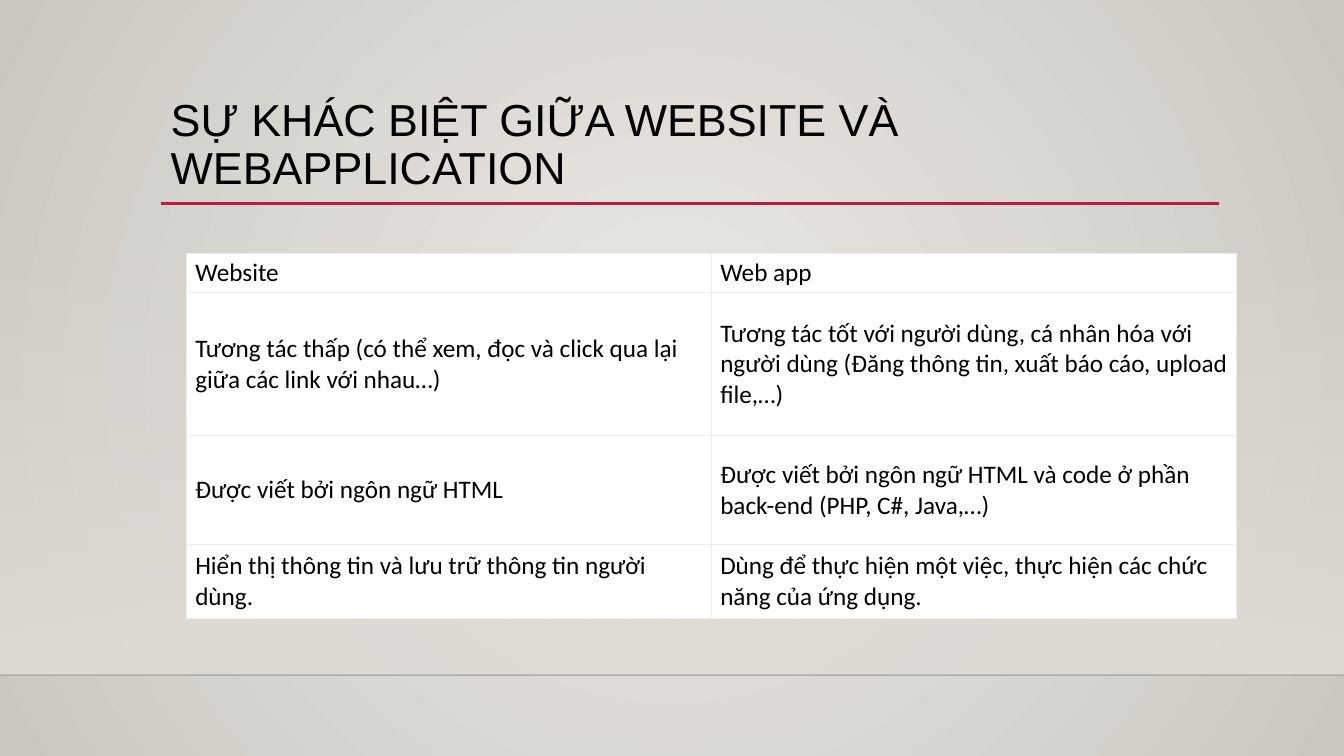
from lxml import etree
from pptx import Presentation
from pptx import util as u
from pptx.dml.color import RGBColor
from pptx.enum import shapes, text
from pptx.oxml.ns import qn

SLIDE_W, SLIDE_H = 1280, 720
TITLE = "SỰ KHÁC BIỆT GIỮA WEBSITE VÀ WEBAPPLICATION"
ROWS = [
    (38, "Website", "Web app"),
    (136, "Tương tác thấp (có thể xem, đọc và click qua lại giữa các link với nhau…)",
     "Tương tác tốt với người dùng, cá nhân hóa với người dùng "
     "(Đăng thông tin, xuất báo cáo, upload file,…)"),
    (104, "Được viết bởi ngôn ngữ HTML",
     "Được viết bởi ngôn ngữ HTML và code ở phần back-end (PHP, C#, Java,…)"),
    (70, "Hiển thị thông tin và lưu trữ thông tin người dùng.",
     "Dùng để thực hiện một việc, thực hiện các chức năng của ứng dụng."),
]


def px(n):
    return u.Emu(n * 9525)


def rgb(value):
    return RGBColor.from_string(value)


def set_gradient(fill, start, end):
    fill.gradient()
    for stop, color in zip(fill.gradient_stops, (start, end)):
        stop.color.rgb = rgb(color)


def set_alpha(color_element, percent):
    etree.SubElement(color_element, qn("a:alpha"), val=str(percent * 1000))


def style_font(font, name, size):
    font.name = name
    font.size = u.Pt(size)
    font.color.rgb = rgb("000000")


def add_line(slide, x, y, w, color, weight):
    line = slide.shapes.add_connector(
        shapes.MSO_CONNECTOR.STRAIGHT, px(x), px(y), px(x + w), px(y))
    line.line.color.rgb = rgb(color)
    line.line.width = u.Pt(weight)
    etree.SubElement(line._element.spPr, qn("a:effectLst"))
    return line


def add_backdrop(slide, w, h):
    set_gradient(slide.background.fill, "ECEAE7", "CAC7C1")
    grad = next(slide._element.iter(qn("a:gradFill")))
    grad.remove(grad.find(qn("a:lin")))
    radial = etree.SubElement(grad, qn("a:path"), path="circle")
    etree.SubElement(radial, qn("a:fillToRect"), {side: "50000" for side in "ltrb"})

    top, floor = 212, h - 77
    sp = slide.shapes.add_shape(
        shapes.MSO_SHAPE.RECTANGLE, 0, px(top), px(w), px(floor - top))
    sp.shadow.inherit = False
    sp.line.fill.background()
    set_gradient(sp.fill, "DFDBD5", "DFDBD5")
    sp.fill.gradient_angle = 270
    set_alpha(next(sp._element.iter(qn("a:srgbClr"))), 0)

    floor_line = add_line(slide, 0, floor, w, "000001", 1)
    set_alpha(next(floor_line._element.iter(qn("a:srgbClr"))), 20)


def add_title(slide, x, y, w, h):
    title = slide.shapes.title
    title.left, title.top, title.width, title.height = px(x), px(y), px(w), px(h)
    tf = title.text_frame
    tf.text = TITLE
    tf.word_wrap = True
    tf.auto_size = text.MSO_AUTO_SIZE.NONE
    tf.vertical_anchor = text.MSO_ANCHOR.MIDDLE
    p = tf.paragraphs[0]
    p.alignment = text.PP_ALIGN.LEFT
    p.line_spacing = 0.9
    style_font(p.font, "Arial", 32)
    add_line(slide, x, y + h, w, "B71E42", 2.5)


def add_borders(cell, color, weight):
    tcPr = cell._tc.get_or_add_tcPr()
    for i, side in enumerate(("lnL", "lnR", "lnT", "lnB")):
        ln = etree.Element(qn(f"a:{side}"), w=str(u.Pt(weight)))
        solid = etree.SubElement(ln, qn("a:solidFill"))
        etree.SubElement(solid, qn("a:srgbClr"), val=color)
        tcPr.insert(i, ln)


def fill_cell(cell, words):
    cell.text = words
    cell.vertical_anchor = text.MSO_ANCHOR.MIDDLE
    cell.margin_left = cell.margin_right = px(8)
    cell.margin_top = cell.margin_bottom = px(2)
    cell.fill.solid()
    cell.fill.fore_color.rgb = rgb("FFFFFF")
    style_font(cell.text_frame.paragraphs[0].font, "Calibri", 18)
    add_borders(cell, "EDEDED", 0.75)


def add_comparison(slide, x, y, w):
    height = sum(row[0] for row in ROWS)
    table = slide.shapes.add_table(
        len(ROWS), 2, px(x), px(y), px(w), px(height)).table
    table.first_row = table.horz_banding = False
    for column in table.columns:
        column.width = px(w // 2)
    for i, (row_h, *entries) in enumerate(ROWS):
        table.rows[i].height = px(row_h)
        for j, words in enumerate(entries):
            fill_cell(table.cell(i, j), words)


def main():
    prs = Presentation()
    prs.slide_width, prs.slide_height = px(SLIDE_W), px(SLIDE_H)
    slide = prs.slides.add_slide(prs.slide_layouts.get_by_name("Title Only"))
    add_backdrop(slide, SLIDE_W, SLIDE_H)
    add_title(slide, 153, 84, 1008, 110)
    add_comparison(slide, 178, 241, 1000)
    prs.save("out.pptx")


if __name__ == "__main__":
    main()
